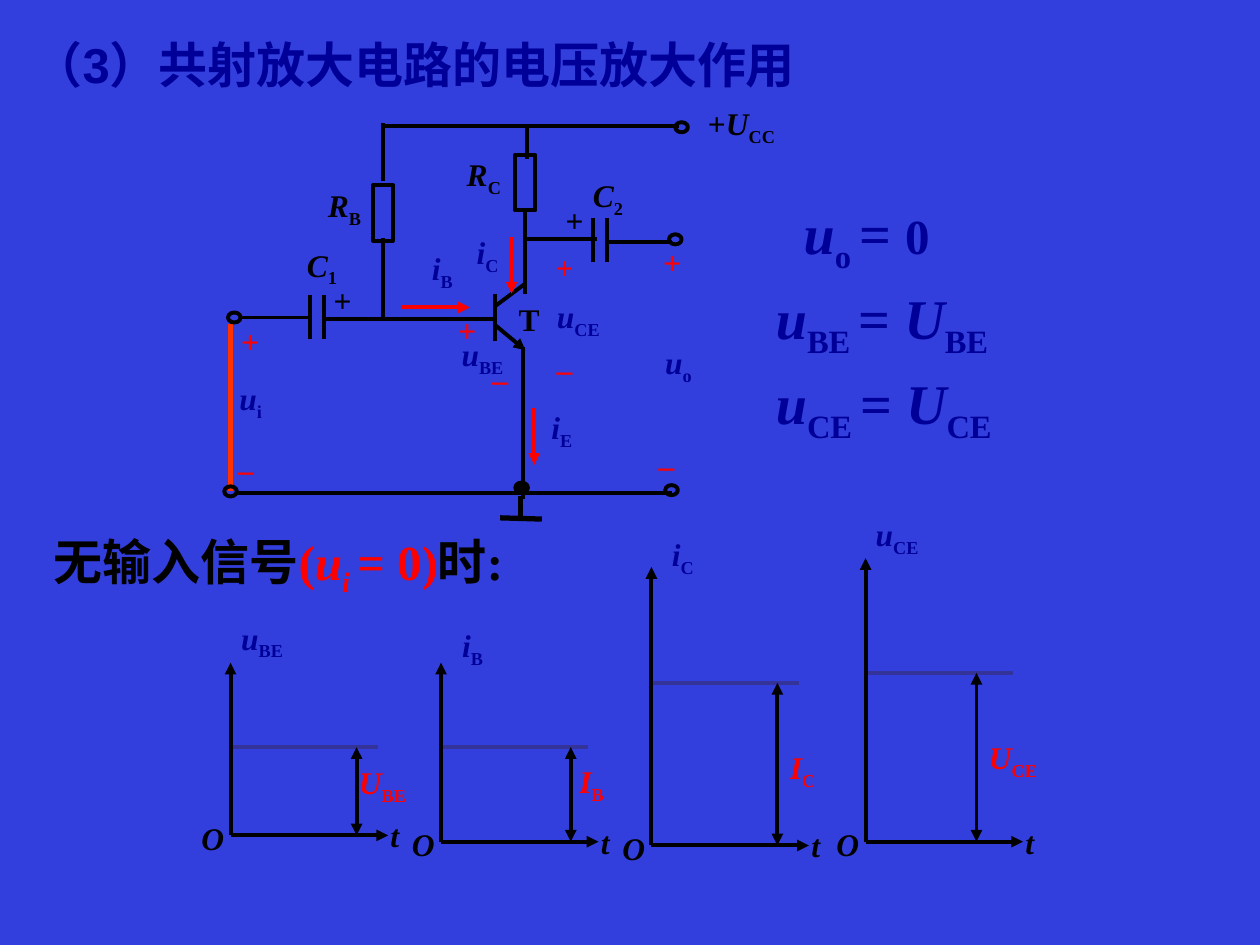
from lxml.etree import SubElement
from pptx import Presentation
from pptx.dml.color import RGBColor
from pptx.enum.shapes import MSO_CONNECTOR, MSO_SHAPE
from pptx.enum.text import MSO_ANCHOR, PP_ALIGN
from pptx.oxml.ns import qn
from pptx.util import Inches, Pt

COLORS = {"back": "333FDD", "ink": "000000", "navy": "000099", "red": "FF0000",
          "level": "333399", "source": "FF3300"}
SERIF = "Times New Roman"
ROW = 0.5  # height of a label box


def sym(name, sub):
    """Italic symbol with an upright subscript, as (text, style) runs."""
    return [(name, "i"), (sub, "s")]


TITLE = "（3）共射放大电路的电压放大作用"
CAPTION = [("无输入信号", "", "ink"), ("(", "", "red"), ("u", "i", "red"),
           ("i ", "is", "red"), ("= 0)", "", "red"), ("时:", "", "ink")]
# left indent, runs
EQUATIONS = [(0.22, sym("u", "o ") + [("= ", ""), ("0", "")])] + [
    (0, sym("u", s + " ") + [("= ", "")] + sym("U", s)) for s in ("BE", "CE")]

# x1, y1, x2, y2
WIRES = [
    (4.18, 1.26, 4.18, 1.02), (3.04, 1, 5.39, 1),             # supply
    (3.04, 2.54, 3.04, 1.89), (3.04, 0.98, 3.04, 1.44),       # base resistor
    (3.93, 2.33, 3.93, 2.71), (3.93, 2.43, 4.17, 2.25),       # transistor
    (4.17, 1.67, 4.17, 2.33), (4.15, 2.75, 4.15, 3.96),       # collector, emitter
    (1.91, 2.52, 2.46, 2.52), (2.56, 2.53, 3.93, 2.53),       # input
    (4.16, 1.9, 4.74, 1.9), (4.83, 1.92, 5.33, 1.92),         # output
    (1.87, 3.91, 5.33, 3.91),                                 # common rail
]
PLATES = [(2.46, 2.34), (2.57, 2.34), (4.71, 1.73), (4.82, 1.73)]
GROUND = [(4.13, 3.94, 4.13, 4.12), (3.97, 4.11, 4.3, 4.12)]
CURRENTS = [(4.06, 1.88, 4.06, 2.33), (3.18, 2.44, 3.73, 2.44),
            (4.24, 3.24, 4.24, 3.69)]
RESISTORS = [(4.09, 1.23), (2.96, 1.47)]
TERMINALS = [(5.36, 0.97), (5.31, 1.86), (5.28, 3.85), (1.81, 2.48), (1.78, 3.86)]
NODE = (4.09, 3.83)

# left, top, width, runs; centred in the box
PARTS = [
    (5.41, 0.75, 0.95, [("+", "")] + sym("U", "CC")),
    (2.45, 1.4, 0.57, sym("R", "B")), (3.55, 1.15, 0.58, sym("R", "C")),
    (2.29, 1.87, 0.53, sym("C", "1")), (4.56, 1.32, 0.53, sym("C", "2")),
    (3.99, 2.28, 0.42, [("T", "")]),
]
SIGNALS = [
    (1.61, 2.93, 0.76, sym("u", "i")), (5.14, 2.64, 0.49, sym("u", "o")),
    (3.41, 2.58, 0.84, sym("u", "BE")), (4.17, 2.28, 0.84, sym("u", "CE")),
    (3.45, 1.77, 0.84, sym("i", "C")), (3.09, 1.9, 0.84, sym("i", "B")),
    (4.04, 3.16, 0.84, sym("i", "E")),
]
POLARITY = [
    (1.79, 2.46, 0.39, [("+", "")]), (1.77, 3.47, 0.36, [("–", "")]),
    (4.42, 1.83, 1.83, [("+", "")]), (5.11, 3.44, 0.36, [("–", "")]),
    (4.3, 2.68, 0.36, [("–", "")]),
]
# left, top, colour, sign; set from the top left
SIGNS = [(2.55, 2.18, "ink", "+"), (4.39, 1.55, "ink", "+"),
         (3.54, 2.42, "red", "+"), (4.31, 1.92, "red", "+"),
         (3.81, 2.81, "red", "–")]

GRAPHS = [
    dict(x=1.83, base=6.63, top=5.26, level=5.93, name=sym("u", "BE"), name_y=4.83,
         value=sym("U", "BE"), value_at=(2.75, 6.01), arrow=2.83),
    dict(x=3.5, base=6.68, top=5.26, level=5.93, name=sym("i", "B"), name_y=4.89,
         value=sym("I", "B"), value_at=(4.5, 6), arrow=4.53),
    dict(x=5.17, base=6.71, top=4.5, level=5.42, name=sym("i", "C"), name_y=4.17,
         value=sym("I", "C"), value_at=(6.17, 5.89), arrow=6.17),
    dict(x=6.87, base=6.68, top=4.43, level=5.34, name=sym("u", "CE"), name_y=4.01,
         value=sym("U", "CE"), value_at=(7.75, 5.81), arrow=7.75),
]

prs = Presentation()
prs.slide_width, prs.slide_height = Inches(10), Inches(7.5)
slide = prs.slides.add_slide(prs.slide_layouts[6])
slide.background.fill.solid()
slide.background.fill.fore_color.rgb = RGBColor.from_string(COLORS["back"])


def add_runs(p, runs, color, size, font=SERIF):
    for text, style, *own in runs:
        r = p.add_run()
        r.text = text
        fmt = {"name": font, "size": Pt(size), "bold": True, "italic": "i" in style}
        for key, value in fmt.items():
            setattr(r.font, key, value)
        r.font.color.rgb = RGBColor.from_string(COLORS[own[0] if own else color])
        if "s" in style:
            r.font._element.set("baseline", "-25000")


def add_box(x, y, w, h, anchor=MSO_ANCHOR.TOP):
    tf = slide.shapes.add_textbox(*map(Inches, (x, y, w, h))).text_frame
    tf.word_wrap, tf.vertical_anchor = True, anchor
    return tf


def label(x, y, w, runs, color="ink", size=18, centred=True, h=ROW):
    tf = add_box(x, y, w, h, MSO_ANCHOR.MIDDLE if centred else MSO_ANCHOR.TOP)
    p = tf.paragraphs[0]
    p.alignment = PP_ALIGN.CENTER if centred else PP_ALIGN.LEFT
    add_runs(p, runs, color, size)


def line(x1, y1, x2, y2, color="ink", width=2.25, ends=()):
    """Straight line; ends holds headEnd and/or tailEnd for arrowheads."""
    sp = slide.shapes.add_connector(MSO_CONNECTOR.STRAIGHT, *map(Inches, (x1, y1, x2, y2)))
    sp.line.color.rgb = RGBColor.from_string(COLORS[color])
    sp.line.width = Pt(width)
    for end in ends:
        SubElement(sp.line._get_or_add_ln(), qn("a:" + end), type="triangle")
    SubElement(sp._element.spPr, qn("a:effectLst"))


def outline(kind, x, y, w, h, filled=False):
    sp = slide.shapes.add_shape(kind, *map(Inches, (x, y, w, h)))
    sp.shadow.inherit = False
    sp.line.color.rgb = RGBColor.from_string(COLORS["ink"])
    sp.line.width = Pt(2.25)
    if filled:
        sp.fill.solid()
        sp.fill.fore_color.rgb = RGBColor.from_string(COLORS["ink"])
    else:
        sp.fill.background()


def draw_circuit():
    line(1.83, 2.57, 1.83, 3.9, "source", 3)
    for wire in WIRES:
        line(*wire)
    for x, y in PLATES:
        line(x, y, x, y + 0.35)
    line(3.93, 2.58, 4.17, 2.78, ends=["tailEnd"])
    for current in CURRENTS:
        line(*current, "red", ends=["tailEnd"])
    for ground in GROUND:
        line(*ground, width=3)
    for x, y in RESISTORS:
        outline(MSO_SHAPE.RECTANGLE, x, y, 0.16, 0.44)
    for x, y in TERMINALS:
        outline(MSO_SHAPE.OVAL, x, y, 0.1, 0.08)
    outline(MSO_SHAPE.OVAL, *NODE, 0.1, 0.08, filled=True)
    for group, color in ((PARTS, "ink"), (SIGNALS, "navy"), (POLARITY, "red")):
        for item in group:
            label(*item, color)
    for x, y, color, sign in SIGNS:
        label(x, y, 0.64, [(sign, "")], color, centred=False)


def draw_graph(x, base, top, level, name, name_y, value, value_at, arrow):
    line(x, level, x + 1.17, level, "level")
    line(x, base, x, top, ends=["tailEnd"])
    line(x, base, x + 1.25, base, ends=["tailEnd"])
    line(arrow, level, arrow, base, ends=["headEnd", "tailEnd"])
    label(x - 0.16, name_y, 0.82, name, "navy")
    label(*value_at, 0.75, value, "red", centred=False)
    label(x + 1.17, base - 0.2, 0.29, [("t", "i")], centred=False)
    label(x - 0.33, base - 0.18, 0.38, [("O", "i")], centred=False, h=0.4)


title = add_box(0.17, 0.16, 7.64, 0.69, MSO_ANCHOR.MIDDLE)
add_runs(title.paragraphs[0], [(TITLE, "")], "navy", 28, "Arial")
label(0.33, 4.17, 4.33, CAPTION, size=28, centred=False, h=0.57)

formulas = add_box(6.06, 1.65, 2.01, 1.81, MSO_ANCHOR.MIDDLE)
for i, (indent, runs) in enumerate(EQUATIONS):
    p = formulas.paragraphs[0] if i == 0 else formulas.add_paragraph()
    p.space_before = Pt(5)
    p._p.get_or_add_pPr().set("marL", str(Inches(indent)))
    add_runs(p, runs, "navy", 32)
formulas.paragraphs[0].runs[-1].font.size = Pt(28)

draw_circuit()
for graph in GRAPHS:
    draw_graph(**graph)
prs.save("out.pptx")
